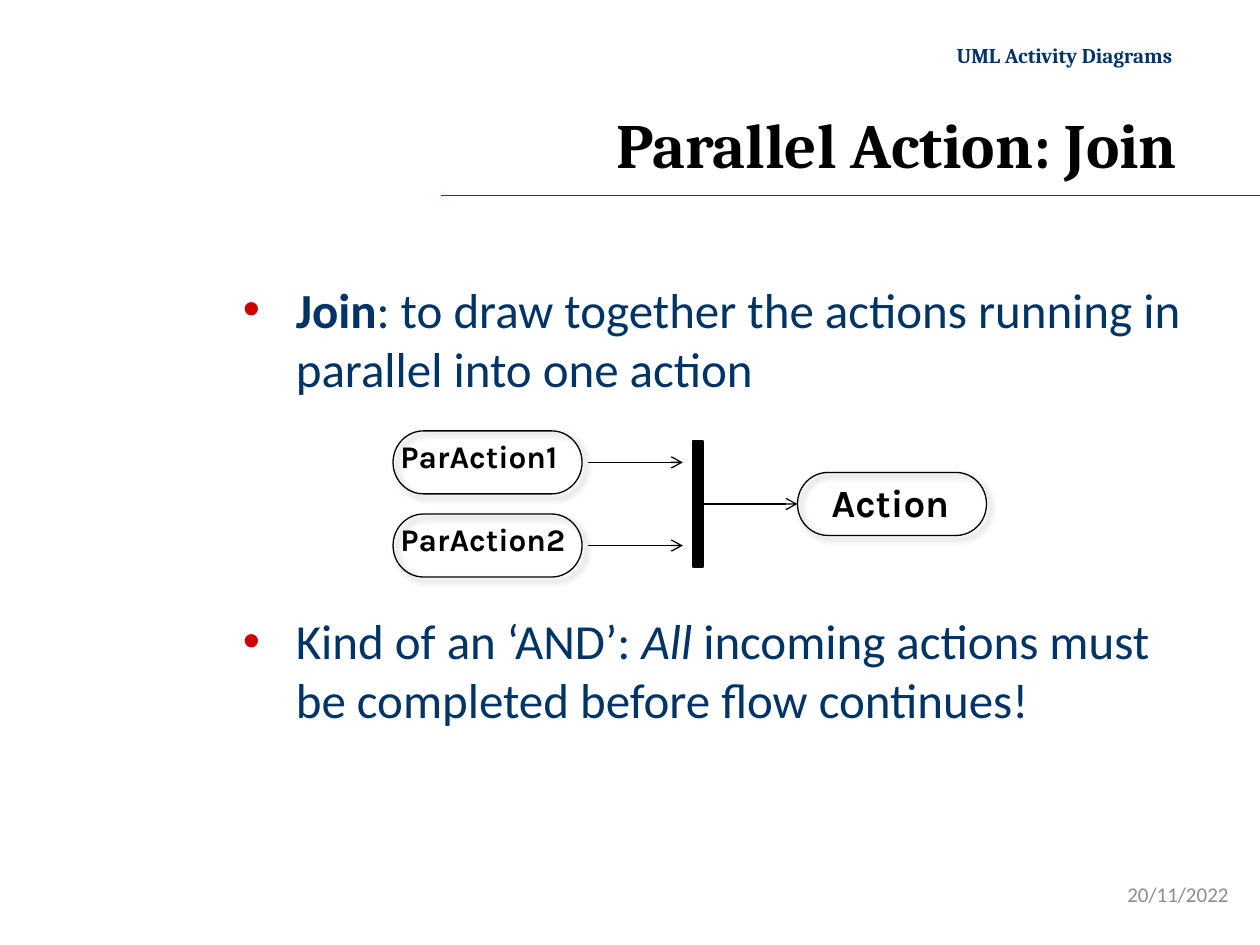
from lxml import etree
from pptx import Presentation
from pptx.dml.color import RGBColor
from pptx.enum.shapes import MSO_CONNECTOR, MSO_SHAPE
from pptx.enum.text import MSO_ANCHOR, MSO_AUTO_SIZE, PP_ALIGN
from pptx.oxml.ns import qn
from pptx.util import Inches, Pt

BLACK, NAVY, RED, RULE_RED, GREY = "000000", "003366", "CC0000", "A80000", "8C8C8C"


def color(hex_string):
    return RGBColor.from_string(hex_string)


def add_run(paragraph, text, size, font, ink, bold=False, italic=False):
    run = paragraph.add_run()
    run.text = text
    run.font.size = Pt(size)
    run.font.name = font
    run.font.color.rgb = color(ink)
    run.font.bold = bold
    run.font.italic = italic


def add_frame(slide, left, top, width, height, wrap=True, anchor=MSO_ANCHOR.TOP):
    frame = slide.shapes.add_textbox(
        Inches(left), Inches(top), Inches(width), Inches(height)).text_frame
    frame.word_wrap = wrap
    frame.auto_size = MSO_AUTO_SIZE.NONE if wrap else MSO_AUTO_SIZE.SHAPE_TO_FIT_TEXT
    frame.vertical_anchor = anchor
    return frame


def add_line(slide, x1, y1, x2, y2, ink=BLACK, arrow=False):
    line = slide.shapes.add_connector(
        MSO_CONNECTOR.STRAIGHT, Inches(x1), Inches(y1), Inches(x2), Inches(y2))
    line.line.color.rgb = color(ink)
    line.line.width = Pt(0.75)
    if arrow:
        etree.SubElement(line.line._get_or_add_ln(), qn("a:tailEnd"), type="arrow")
    etree.SubElement(line._element.spPr, qn("a:effectLst"))
    return line


def add_soft_shadow(shape):
    shape.shadow.inherit = False
    effects = shape._element.spPr.find(qn("a:effectLst"))
    shadow = etree.SubElement(
        effects, qn("a:outerShdw"), blurRad=str(Pt(4)), dist=str(Pt(3)),
        dir=str(45 * 60000), algn="tl", rotWithShape="0")
    ink = etree.SubElement(shadow, qn("a:srgbClr"), val=BLACK)
    etree.SubElement(ink, qn("a:alpha"), val="43000")


def add_bullet(paragraph):
    properties = paragraph._p.get_or_add_pPr()
    properties.set("marL", str(Inches(0.42)))
    properties.set("indent", str(-Inches(0.42)))
    bullet_color = etree.SubElement(properties, qn("a:buClr"))
    etree.SubElement(bullet_color, qn("a:srgbClr"), val=RED)
    etree.SubElement(properties, qn("a:buFont"), typeface="Arial")
    etree.SubElement(properties, qn("a:buChar"), char="•")


def add_header(slide, left, top, width):
    # Rule, running title and slide title, both flush right
    add_line(slide, 3.5, top + 1.26, 10, top + 1.26, RULE_RED)
    right = left + width
    running = add_frame(slide, right - 1.99, top, 1.99, 0.3, wrap=False).paragraphs[0]
    running.alignment = PP_ALIGN.RIGHT
    add_run(running, "UML Activity Diagrams ", 12, "Cambria", NAVY, bold=True)
    title = add_frame(slide, left, top + 0.47, width, 0.75,
                      anchor=MSO_ANCHOR.MIDDLE).paragraphs[0]
    title.alignment = PP_ALIGN.RIGHT
    add_run(title, "Parallel Action: Join", 36, "Cambria", BLACK, bold=True)


def add_body(slide, left, top, width, height):
    # Two bullets, spaced apart to leave room for the diagram
    frame = add_frame(slide, left, top, width, height)
    definition = frame.paragraphs[0]
    add_bullet(definition)
    add_run(definition, "Join", 28, "Calibri", NAVY, bold=True)
    add_run(definition, ": to draw together the actions running in parallel into one action",
            28, "Calibri", NAVY)
    meaning = frame.add_paragraph()
    add_bullet(meaning)
    meaning.space_before = Pt(122)
    add_run(meaning, "Kind of an ‘AND’: ", 28, "Calibri", NAVY)
    add_run(meaning, "All", 28, "Calibri", NAVY, italic=True)
    add_run(meaning, " incoming actions must be completed before flow continues!",
            28, "Calibri", NAVY)


def add_action(slide, left, top, label, size, label_shift, label_width, label_height):
    node = slide.shapes.add_shape(
        MSO_SHAPE.FLOWCHART_TERMINATOR, Inches(left), Inches(top), Inches(1.5), Inches(0.5))
    node.fill.background()
    node.line.color.rgb = color(BLACK)
    node.line.width = Pt(0.75)
    add_soft_shadow(node)
    frame = add_frame(slide, left + label_shift, top, label_width, label_height, wrap=False)
    add_run(frame.paragraphs[0], label, size, "Karla", BLACK, bold=True)
    return node


def add_join_diagram(slide, left, top):
    # Joined action on the right
    action = add_action(slide, left + 3.21, top + 0.33, "Action", 22, 0.17, 1.19, 0.47)

    # Join bar and outgoing flow
    bar = slide.shapes.add_shape(
        MSO_SHAPE.RECTANGLE, Inches(left + 2.38), Inches(top + 0.08), Inches(0.08), Inches(1))
    bar.fill.solid()
    bar.fill.fore_color.rgb = color(BLACK)
    bar.line.color.rgb = color(BLACK)
    bar.line.width = Pt(0.75)
    bar.shadow.inherit = False
    outgoing = add_line(slide, left + 2.46, top + 0.58, left + 3.21, top + 0.58, arrow=True)
    outgoing.begin_connect(bar, 3)
    outgoing.end_connect(action, 1)

    # Parallel actions with their incoming flows
    for row, label in enumerate(("ParAction1", "ParAction2")):
        row_top = top + row * 0.66
        add_line(slide, left + 1.55, row_top + 0.25, left + 2.3, row_top + 0.25, arrow=True)
        add_action(slide, left, row_top, label, 18, -0.04, 1.59, 0.4)


def add_date(slide, left, top, width, height):
    date = add_frame(slide, left, top, width, height, anchor=MSO_ANCHOR.MIDDLE).paragraphs[0]
    date.alignment = PP_ALIGN.RIGHT
    add_run(date, "20/11/2022", 12, "Calibri", GREY)


def main():
    deck = Presentation()
    deck.slide_width, deck.slide_height = Inches(10), Inches(7.5)
    slide = deck.slides.add_slide(deck.slide_layouts[6])
    add_header(slide, 1.77, 0.29, 7.67)
    add_date(slide, 7.52, 6.9, 2.33, 0.4)
    add_body(slide, 1.83, 2.17, 7.67, 3.75)
    add_join_diagram(slide, 3.12, 3.42)
    deck.save("out.pptx")


if __name__ == "__main__":
    main()
